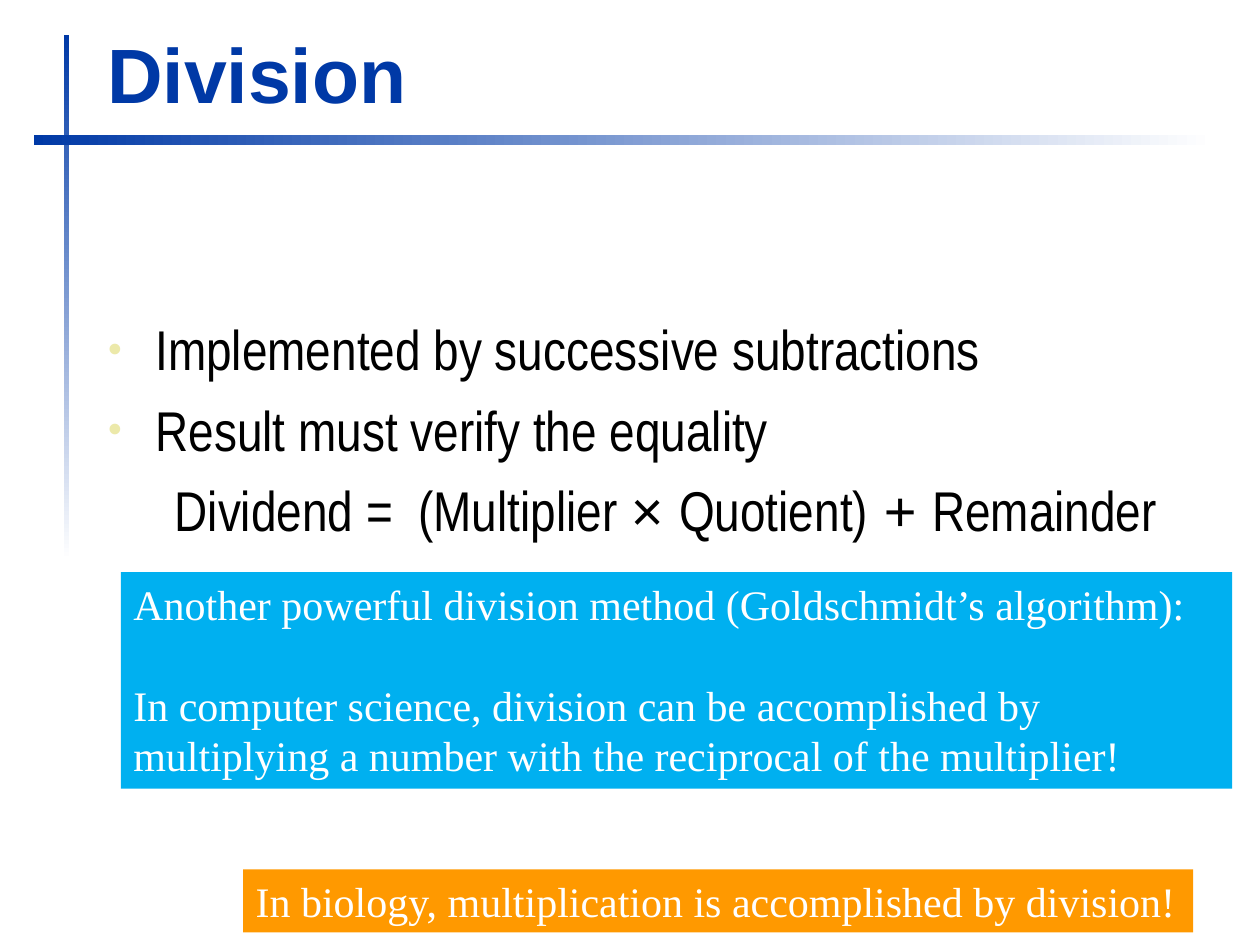
from lxml import etree
from pptx import Presentation
from pptx.dml.color import RGBColor
from pptx.enum import shapes, text
from pptx.oxml import ns
from pptx.util import Pt

HUE = {"navy": "0039A6", "white": "FFFFFF", "black": "000000",
       "orange": "FF9900", "sky": "00B0F0", "dot": "ECE9AA"}
TITLE = "Division"
POINTS = ["Implemented by successive subtractions",
          "Result must verify the equality"]
NARROW, WIDE, SERIF = "Arial Narrow", "Arial", "Times New Roman"
RULE = [("Dividend =  (Multiplier ", NARROW), ("× ", WIDE),
        ("Quotient)", NARROW), (" + ", WIDE), ("Remainder", NARROW)]
# left, top, width, height, gradient angle
BARS = [(36.7, 20.2, 2.9, 300.2, 270), (19.4, 77, 674.6, 5.8, 0)]
# left, top, width, height, fill, paragraphs
NOTES = [
    (139, 496.8, 542.9, 36, "orange",
     ["In biology, multiplication is accomplished by division!"]),
    (69.1, 326.9, 635, 123.8, "sky",
     ["Another powerful division method (Goldschmidt’s algorithm):",
      "In computer science, division can be accomplished by "
      "multiplying a number with the reciprocal of the multiplier!"]),
]
INDENT, GAP, LINE = 27, 7.5, 29


def tint(name):
    return RGBColor.from_string(HUE[name])


def style(run, face, size, hue, bold=False):
    font = run.font
    font.name, font.size, font.bold = face, Pt(size), bold
    font.color.rgb = tint(hue)


def block(slide, box):
    shape = slide.shapes.add_shape(shapes.MSO_SHAPE.RECTANGLE, *map(Pt, box))
    shape.shadow.inherit = False
    shape.line.fill.background()
    return shape


def hang(para, dot):
    """Give the paragraph a hanging indent, and a bullet if dot is true."""
    props = para._p.get_or_add_pPr()
    props.set("marL", str(Pt(INDENT)))
    props.set("indent", str(-Pt(INDENT)))

    def add(tag, home=props, **attrs):
        return etree.SubElement(home, ns.qn(tag), attrs)

    if dot:
        add("a:srgbClr", add("a:buClr"), val=HUE["dot"])
        add("a:buSzPct", val="70000")
        add("a:buFont", typeface=WIDE)
        add("a:buChar", char="•")
    else:
        add("a:buNone")


deck = Presentation()
deck.slide_width, deck.slide_height = Pt(720), Pt(540)
slide = deck.slides.add_slide(deck.slide_layouts[5])

for *box, angle in BARS:
    fill = block(slide, box).fill
    fill.gradient()
    fill.gradient_angle = angle
    for stop, hue in zip(fill.gradient_stops, ("navy", "white")):
        stop.color.rgb = tint(hue)

title = slide.shapes.title
title.left, title.top, title.width, title.height = map(Pt, (54, 11.5, 650.2, 59.8))
frame = title.text_frame
frame.text = TITLE
frame.vertical_anchor = text.MSO_ANCHOR.BOTTOM
frame.paragraphs[0].alignment = text.PP_ALIGN.LEFT
style(frame.paragraphs[0].runs[0], WIDE, 44, "navy", True)

body = slide.shapes.add_textbox(*map(Pt, (54.7, 176.4, 651.6, 187.2))).text_frame
body.word_wrap = True
lines = [[(point, NARROW)] for point in POINTS] + [RULE]
for i, parts in enumerate(lines):
    para = body.add_paragraph() if i else body.paragraphs[0]
    para.space_before = Pt(GAP)
    hang(para, parts is not RULE)
    if parts is RULE:
        para.alignment = text.PP_ALIGN.CENTER
    for words, face in parts:
        run = para.add_run()
        run.text = words
        style(run, face, 32, "black")

for *box, hue, words in NOTES:
    note = block(slide, box)
    note.fill.solid()
    note.fill.fore_color.rgb = tint(hue)
    frame = note.text_frame
    frame.word_wrap = True
    frame.vertical_anchor = text.MSO_ANCHOR.TOP
    frame.text = "\n".join(words)
    for i, para in enumerate(frame.paragraphs):
        para.alignment = text.PP_ALIGN.LEFT
        para.space_before = Pt(LINE if i else 0)
        style(para.runs[0], SERIF, 24, "white")

deck.save("out.pptx")
